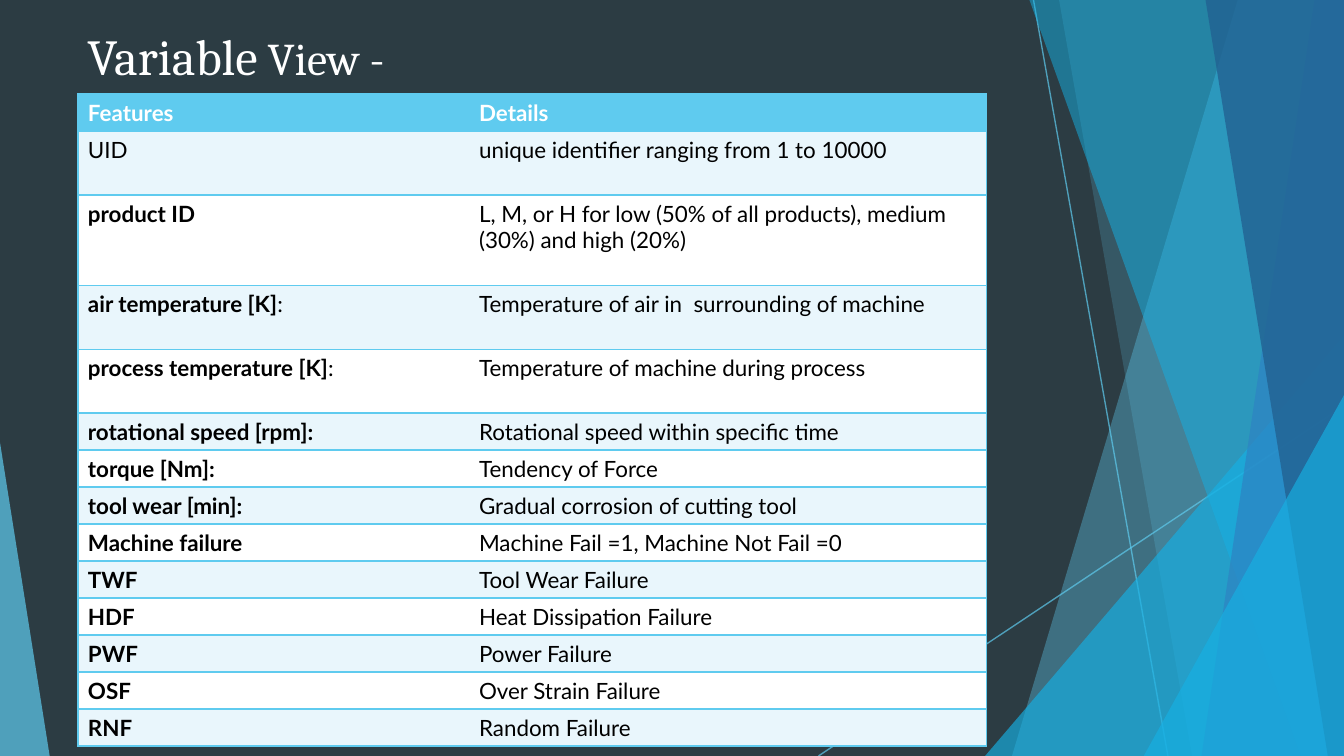
from dataclasses import dataclass

from lxml import etree
from pptx import Presentation
from pptx.dml.color import RGBColor
from pptx.enum.shapes import MSO_CONNECTOR, MSO_SHAPE
from pptx.enum.text import MSO_ANCHOR, MSO_AUTO_SIZE, PP_ALIGN
from pptx.oxml import parse_xml
from pptx.oxml.ns import nsdecls, qn
from pptx.util import Inches, Pt

STRAIGHT = MSO_CONNECTOR.STRAIGHT
TRIANGLE = MSO_SHAPE.ISOSCELES_TRIANGLE
LEFT = PP_ALIGN.LEFT
TOP = MSO_ANCHOR.TOP
NO_AUTOFIT = MSO_AUTO_SIZE.NONE
TITLE_ONLY = 5
PLAIN_TABLE_STYLE = "{2D5ABB26-0587-4C30-8999-92F81FD0307C}"
WIDTH = 10
HEIGHT = WIDTH * 9 / 16


@dataclass(frozen=True)
class Theme:
    """Colours, fonts and type sizes of the slide."""
    background: str = "2C3C43"
    sky: str = "5FCBEF"
    cyan: str = "16B0E3"
    blue: str = "2E83C3"
    navy: str = "226292"
    band: str = "E9F6FC"
    white: str = "FFFFFF"
    black: str = "000000"
    title_font: str = "Cambria"
    body_font: str = "Lato"
    title_size: float = 27
    subtitle_size: float = 24.3
    body_size: float = 12


THEME = Theme()

ROWS = [
    (1, [("Features", True)], [("Details", True)]),
    (2, [("UID", False)], [("unique identifier ranging from 1 to 10000", False)]),
    (3, [("product ID", True)],
     [("L, M, or H for low (50% of all products), medium (30%) and high (20%)", False)]),
    (2, [("air temperature [K]", True), (":", False)],
     [("Temperature of air in  surrounding of machine", False)]),
    (2, [("process temperature [K]", True), (":", False)],
     [("Temperature of machine during process", False)]),
    (1, [("rotational speed [rpm]:", True)], [("Rotational speed within specific time", False)]),
    (1, [("torque [Nm]:", True)], [("Tendency of Force", False)]),
    (1, [("tool wear [min]:", True)], [("Gradual corrosion of cutting tool", False)]),
    (1, [("Machine failure", True)], [("Machine Fail =1, Machine Not Fail =0", False)]),
    (1, [("TWF", True)], [("Tool Wear Failure", False)]),
    (1, [("HDF", True)], [("Heat Dissipation Failure", False)]),
    (1, [("PWF", True)], [("Power Failure", False)]),
    (1, [("OSF", True)], [("Over Strain Failure", False)]),
    (1, [("RNF", True)], [("Random Failure", False)]),
]


def rgb(color):
    """Turn a hex string into a colour."""
    return RGBColor.from_string(color)


def set_opacity(shape, percent):
    """Make the shape's own colour partly transparent."""
    for color in shape._element.spPr.iter(qn("a:srgbClr")):
        etree.SubElement(color, qn("a:alpha")).set("val", str(percent * 1000))


def style_shard(shape, color, opacity):
    """Give a decorative shape a translucent fill and no outline."""
    shape.shadow.inherit = False
    shape.fill.solid()
    shape.fill.fore_color.rgb = rgb(color)
    shape.line.fill.background()
    set_opacity(shape, opacity)


def add_ray(slide, start, end):
    """Draw a thin translucent line."""
    ray = slide.shapes.add_connector(STRAIGHT, *map(Inches, start + end))
    ray.line.color.rgb = rgb(THEME.sky)
    ray.line.width = Pt(0.75)
    set_opacity(ray, 70)
    etree.SubElement(ray._element.spPr, qn("a:effectLst"))


def add_shard(slide, top_x, bottom_x, color, opacity):
    """Fill from a slanted edge to the right side of the slide."""
    corners = [(WIDTH, 0), (WIDTH, HEIGHT), (bottom_x, HEIGHT)]
    builder = slide.shapes.build_freeform(Inches(top_x), Inches(0))
    builder.add_line_segments([(Inches(x), Inches(y)) for x, y in corners], close=True)
    style_shard(builder.convert_to_shape(), color, opacity)


def add_triangle(slide, left, top, width, apex, color, opacity):
    """Add a triangle that stands on the bottom edge of the slide."""
    box = map(Inches, (left, top, width, HEIGHT - top))
    triangle = slide.shapes.add_shape(TRIANGLE, *box)
    triangle.adjustments[0] = apex
    style_shard(triangle, color, opacity)


def add_decoration(slide):
    """Build the faceted backdrop from back to front."""
    add_ray(slide, (7.69, 0), (8.69, HEIGHT))
    add_ray(slide, (WIDTH, 3.02), (6.09, HEIGHT))
    add_shard(slide, 9.21, 7.53, THEME.sky, 36)
    add_shard(slide, 7.88, 8.87, THEME.sky, 20)
    add_triangle(slide, 7.33, 2.5, 2.67, 1, THEME.cyan, 66)
    add_shard(slide, 7.66, 9.68, THEME.cyan, 50)
    add_shard(slide, 9.78, 8.94, THEME.blue, 70)
    add_shard(slide, 8.97, 9.88, THEME.navy, 80)
    add_triangle(slide, 8.51, 2.94, 1.49, 1, THEME.cyan, 66)
    add_triangle(slide, 0, 3.29, 0.37, 0, THEME.sky, 70)


def add_run(paragraph, text, font, size, color, bold=False):
    """Append one formatted run."""
    run = paragraph.add_run()
    run.text = text
    run.font.name = font
    run.font.size = Pt(size)
    run.font.bold = bold
    run.font.color.rgb = rgb(color)


def fill_title(slide):
    """Place and write the title."""
    title = slide.shapes.title
    title.left, title.top = Inches(0.58), Inches(0.15)
    title.width, title.height = Inches(2.96), Inches(0.35)
    frame = title.text_frame
    frame.auto_size = NO_AUTOFIT
    frame.word_wrap = True
    frame.vertical_anchor = TOP
    frame.margin_left = frame.margin_right = Inches(0.07)
    frame.margin_top = frame.margin_bottom = Inches(0.04)
    paragraph = frame.paragraphs[0]
    paragraph.alignment = LEFT
    add_run(paragraph, "Variable", THEME.title_font, THEME.title_size, THEME.white)
    add_run(paragraph, " View -", THEME.title_font, THEME.subtitle_size, THEME.white)


def add_borders(cell, sides):
    """Draw the named sides of a cell in their schema order."""
    properties = cell._tc.get_or_add_tcPr()
    for index, side in enumerate(sides):
        properties.insert(index, parse_xml(
            f'<a:ln{side} {nsdecls("a")} w="{Pt(1)}"><a:solidFill>'
            f'<a:srgbClr val="{THEME.sky}"/></a:solidFill></a:ln{side}>'))


def fill_cell(cell, runs, fill, color, sides):
    """Write and format one table cell."""
    cell.fill.solid()
    cell.fill.fore_color.rgb = rgb(fill)
    cell.margin_left = cell.margin_right = Pt(5.4)
    cell.margin_top = cell.margin_bottom = Pt(2.7)
    for text, bold in runs:
        add_run(cell.text_frame.paragraphs[0], text, THEME.body_font, THEME.body_size, color, bold)
    add_borders(cell, sides)


def add_feature_table(slide):
    """Add the table of features, with row heights set by line count."""
    frame = slide.shapes.add_table(
        len(ROWS), 2, Inches(0.58), Inches(0.7), Inches(6.76), Inches(4.85))
    table = frame.table
    table._tbl.tblPr.find(qn("a:tableStyleId")).text = PLAIN_TABLE_STYLE
    for column, width in zip(table.columns, (2.91, 3.85)):
        column.width = Inches(width)
    for index, (lines, *contents) in enumerate(ROWS):
        table.rows[index].height = Pt(5.4 + 14.4 * lines)
        fill = THEME.band if index % 2 else THEME.white
        color = THEME.black
        if index == 0:
            fill, color = THEME.sky, THEME.white
        for column, (runs, sides) in enumerate(zip(contents, ("LTB", "RTB"))):
            fill_cell(table.cell(index, column), runs, fill, color, sides)


def main():
    """Build and save the slide."""
    presentation = Presentation()
    presentation.slide_width = Inches(WIDTH)
    presentation.slide_height = Inches(HEIGHT)
    slide = presentation.slides.add_slide(presentation.slide_layouts[TITLE_ONLY])
    slide.background.fill.solid()
    slide.background.fill.fore_color.rgb = rgb(THEME.background)
    add_decoration(slide)
    fill_title(slide)
    add_feature_table(slide)
    presentation.save("out.pptx")


if __name__ == "__main__":
    main()
